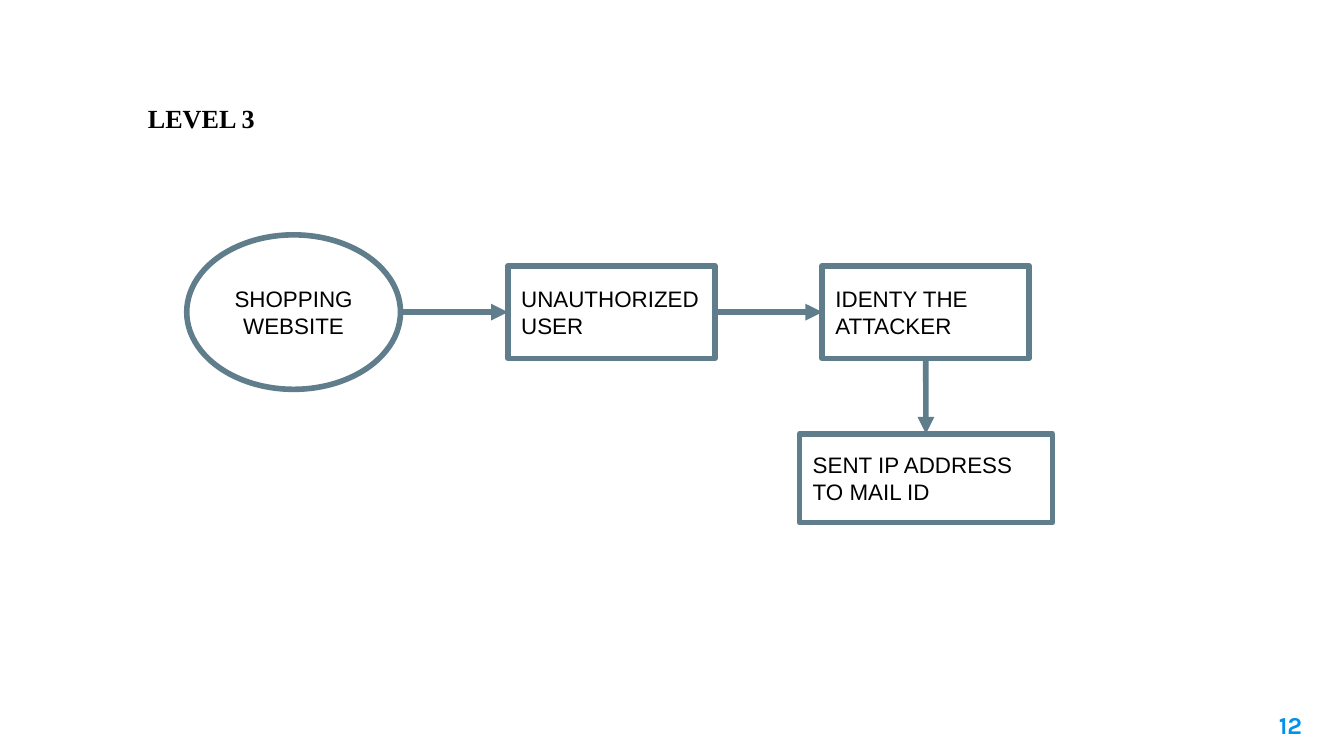
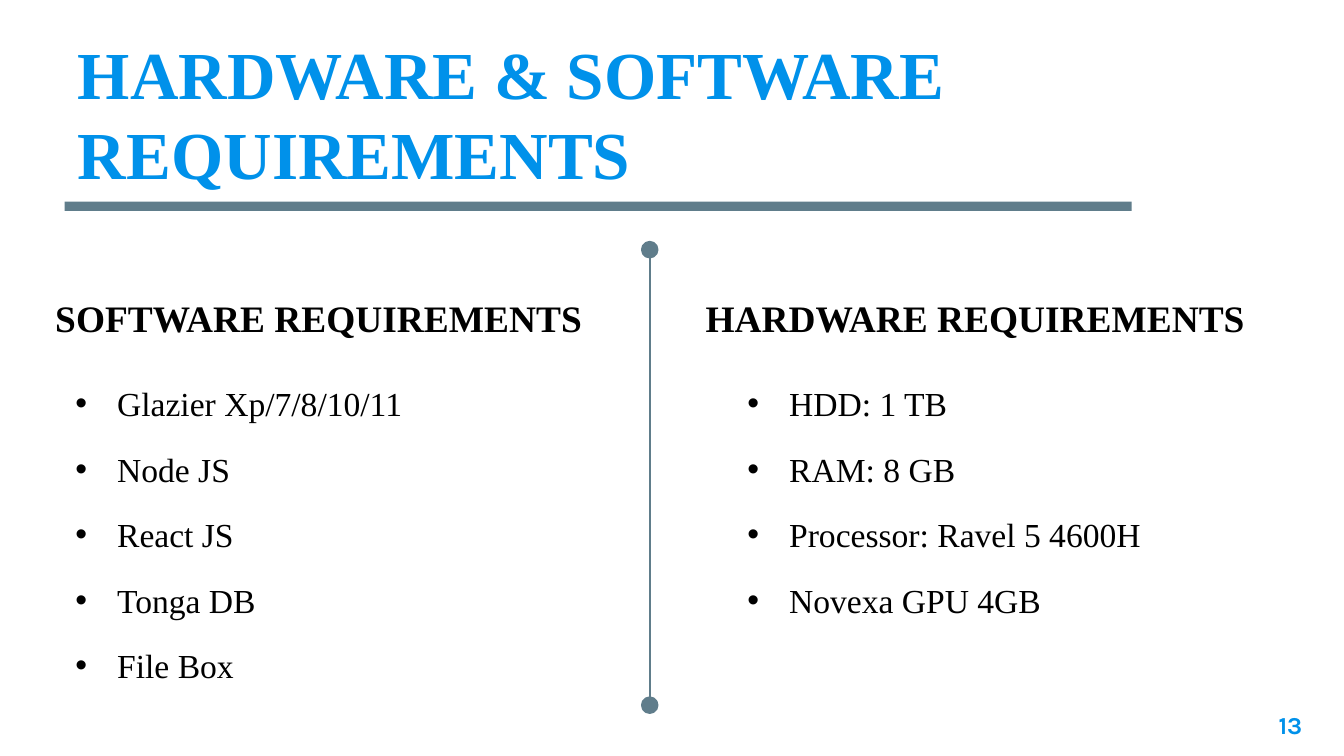
import dataclasses

import pptx
import pptx.dml.color
import pptx.enum.shapes
import pptx.enum.text
import pptx.oxml
import pptx.oxml.ns
import pptx.util

Cm = pptx.util.Cm
Pt = pptx.util.Pt
Align = pptx.enum.text.PP_ALIGN
Anchor = pptx.enum.text.MSO_ANCHOR
Shape = pptx.enum.shapes.MSO_SHAPE
Line = pptx.enum.shapes.MSO_CONNECTOR

BLUE = "0091EA"
SLATE = "607D8B"
BLACK = "000000"
SERIF = "Times New Roman"


@dataclasses.dataclass(frozen=True)
class Box:
    left: float
    top: float
    width: float
    height: float


@dataclasses.dataclass(frozen=True)
class Style:
    size: float
    name: str = SERIF
    color: str = BLACK
    bold: bool = False
    align: Align = Align.LEFT


@dataclasses.dataclass(frozen=True)
class Node:
    text: str
    box: Box
    kind: Shape = Shape.RECTANGLE
    align: Align = Align.LEFT


@dataclasses.dataclass(frozen=True)
class Column:
    head: str
    head_box: Box
    items: tuple[str, ...]
    list_box: Box


LEVEL = Style(14, bold=True)
TITLE = Style(36, color=BLUE, bold=True)
HEAD = Style(20, bold=True)
ITEM = Style(18, align=Align.JUSTIFY)
PAGE = Style(13, "Karla", BLUE, True, Align.RIGHT)

MID = 5.9
BOX_W, BOX_H = 3.91, 1.75
BOX_TOP = MID - BOX_H / 2
NODES = (
    Node("SHOPPING WEBSITE", Box(3.53, MID - 1.46, 4.04, 2.92), Shape.OVAL, Align.CENTER),
    Node("UNAUTHORIZED USER", Box(9.6, BOX_TOP, BOX_W, BOX_H)),
    Node("IDENTY THE ATTACKER", Box(15.54, BOX_TOP, BOX_W, BOX_H)),
    Node("SENT IP ADDRESS TO MAIL ID", Box(15.11, 8.2, 4.78, 1.68)),
)

COLUMNS = (
    Column(
        "SOFTWARE REQUIREMENTS",
        Box(0.79, 5.46, 10.67, 1.12),
        ("Glazier Xp/7/8/10/11", "Node JS", "React JS", "Tonga DB", "File Box"),
        Box(1.17, 7.06, 10.67, 7.34),
    ),
    Column(
        "HARDWARE REQUIREMENTS",
        Box(13.08, 5.46, 11.13, 1.12),
        ("HDD: 1 TB", "RAM: 8 GB", "Processor: Ravel 5 4600H", "Novexa GPU 4GB"),
        Box(13.87, 7.06, 8.26, 4.83),
    ),
)


def shade(text: str) -> pptx.dml.color.RGBColor:
    return pptx.dml.color.RGBColor.from_string(text)


def place(box: Box) -> tuple[int, int, int, int]:
    return Cm(box.left), Cm(box.top), Cm(box.width), Cm(box.height)


def write(shape, lines: tuple[str, ...], style: Style) -> None:
    frame = shape.text_frame
    frame.word_wrap = True
    frame.text = "\n".join(lines)
    for para in frame.paragraphs:
        para.alignment = style.align
        para.space_before = Pt(0)
        for part in (para, *para.runs):
            part.font.size = Pt(style.size)
            part.font.name = style.name
            part.font.bold = style.bold
            part.font.color.rgb = shade(style.color)


def fill_holder(holder, box: Box, lines: tuple[str, ...], style: Style) -> None:
    holder.left, holder.top, holder.width, holder.height = place(box)
    write(holder, lines, style)
    holder.text_frame.vertical_anchor = Anchor.TOP
    holder.text_frame.auto_size = pptx.enum.text.MSO_AUTO_SIZE.SHAPE_TO_FIT_TEXT


def fill_list(holder, box: Box, lines: tuple[str, ...]) -> None:
    fill_holder(holder, box, lines, ITEM)
    for para in holder.text_frame.paragraphs:
        para.line_spacing = 1.07
        para.space_after = Pt(12)
        props = para._p.get_or_add_pPr()
        props.set("marL", str(Cm(0.79)))
        props.set("indent", str(-Cm(0.79)))


def add_page(slide, number: int) -> None:
    box = slide.shapes.add_textbox(*place(Box(23.34, 13.18, 1.52, 1.09)))
    write(box, (str(number),), PAGE)
    frame = box.text_frame
    frame.margin_left = frame.margin_right = Cm(0.25)
    frame.margin_top = frame.margin_bottom = Cm(0.25)


def add_solid(shapes, kind: Shape, box: Box, width: float = 0):
    shape = shapes.add_shape(kind, *place(box))
    shape.shadow.inherit = False
    shape.fill.solid()
    shape.fill.fore_color.rgb = shade(SLATE)
    if width:
        shape.line.color.rgb = shade(SLATE)
        shape.line.width = Pt(width)
    else:
        shape.line.fill.background()
    return shape


def add_node(slide, node: Node):
    shape = add_solid(slide.shapes, node.kind, node.box, 3)
    shape.fill.background()
    write(shape, (node.text,), Style(12, "Arial", align=node.align))
    shape.text_frame.vertical_anchor = Anchor.MIDDLE
    return shape


def add_line(shapes, start: tuple[int, int], end: tuple[int, int], width: float):
    line = shapes.add_connector(Line.STRAIGHT, *start, *end)
    line.line.color.rgb = shade(SLATE)
    line.line.width = Pt(width)
    line._element.spPr.append(pptx.oxml.parse_xml(
        f"<a:effectLst {pptx.oxml.ns.nsdecls('a')}/>"))
    return line


def add_arrow(slide, first, last, down: bool = False) -> None:
    if down:
        x = first.left + first.width // 2
        start, end = (x, first.top + first.height), (x, last.top)
    else:
        y = first.top + first.height // 2
        start, end = (first.left + first.width, y), (last.left, y)
    line = add_line(slide.shapes, start, end, 3)
    if first.auto_shape_type == Shape.RECTANGLE:
        line.begin_connect(first, 2 if down else 3)
    line.end_connect(last, 0 if down else 1)
    line.line._get_or_add_ln().append(pptx.oxml.parse_xml(
        f"<a:tailEnd {pptx.oxml.ns.nsdecls('a')} type='triangle'/>"))


def add_split(slide, x: float, top: float, base: float) -> None:
    shapes = slide.shapes.add_group_shape().shapes
    add_line(shapes, (Cm(x), Cm(top)), (Cm(x), Cm(base)), 1)
    size = 0.26
    for y in (base, top):
        add_solid(shapes, Shape.OVAL, Box(x - size / 2, y - size / 2, size, size), 2)


def build_flow(deck) -> None:
    slide = deck.slides.add_slide(deck.slide_layouts.get_by_name("Title Only"))
    fill_holder(slide.shapes.title, Box(2.54, 1.8, 4.09, 0.86), ("LEVEL 3",), LEVEL)
    site, user, find, send = (add_node(slide, node) for node in NODES)
    add_arrow(slide, site, user)
    add_arrow(slide, user, find)
    add_arrow(slide, find, send, down=True)
    add_page(slide, 12)


def build_needs(deck) -> None:
    slide = deck.slides.add_slide(deck.slide_layouts.get_by_name("Comparison"))
    title, *rest = slide.placeholders
    fill_holder(title, Box(1.22, 0.48, 22.12, 3.33),
                ("HARDWARE & SOFTWARE REQUIREMENTS",), TITLE)
    add_solid(slide.shapes, Shape.RECTANGLE, Box(1.22, 3.81, 20.17, 0.18))
    for column, head, body in zip(COLUMNS, rest[::2], rest[1::2]):
        fill_holder(head, column.head_box, (column.head,), HEAD)
        fill_list(body, column.list_box, column.items)
    add_split(slide, 12.28, 4.72, 13.33)
    add_page(slide, 13)


def main() -> None:
    deck = pptx.Presentation()
    deck.slide_width, deck.slide_height = Cm(25.4), Cm(14.29)
    build_flow(deck)
    build_needs(deck)
    deck.save("out.pptx")


if __name__ == "__main__":
    main()
